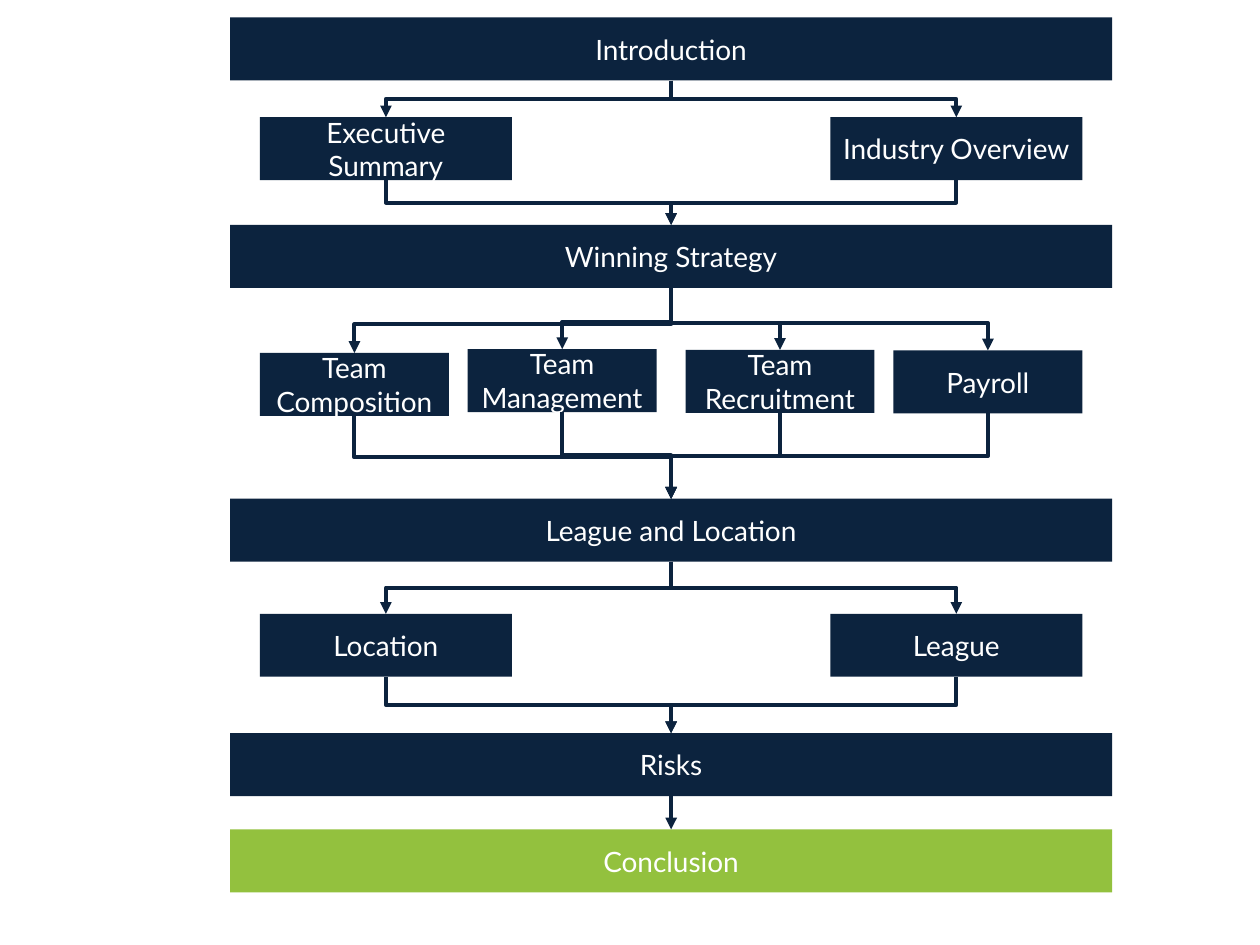
from dataclasses import dataclass

from lxml import etree
from pptx import Presentation
from pptx.dml.color import RGBColor
from pptx.enum.shapes import MSO_CONNECTOR, MSO_SHAPE
from pptx.enum.text import MSO_ANCHOR, PP_ALIGN
from pptx.oxml.ns import qn
from pptx.util import Pt

RECTANGLE = MSO_SHAPE.RECTANGLE
ELBOW, STRAIGHT = MSO_CONNECTOR.ELBOW, MSO_CONNECTOR.STRAIGHT
MIDDLE, CENTER = MSO_ANCHOR.MIDDLE, PP_ALIGN.CENTER
TOP_SIDE, BOTTOM_SIDE = 0, 2


@dataclass(frozen=True)
class Theme:
    navy = RGBColor(0x0C, 0x23, 0x3E)
    green = RGBColor(0x93, 0xC1, 0x3E)
    white = RGBColor(0xFF, 0xFF, 0xFF)
    font = "Lato"
    size = Pt(16)
    line = Pt(2.25)


THEME = Theme()
BOX_HEIGHT = 36
STAGE_LEFT, STAGE_WIDTH = 131.5, 504
PAIR_LEFTS, PAIR_WIDTH = (148.5, 474.5), 144
TEAM_WIDTH = 108

# Stage: label, top, bend of the lines to its topics, topics (label, left, top, width)
STAGES = [
    ("Introduction", 10, 0.5, [
        (label, left, 67, PAIR_WIDTH)
        for label, left in zip(("Executive Summary", "Industry Overview"), PAIR_LEFTS)]),
    ("Winning Strategy", 128.5, 0.56, [
        ("Team Composition", 148.5, 201.75, TEAM_WIDTH),
        ("Team Management", 267.25, 199.5, TEAM_WIDTH),
        ("Team Recruitment", 391.75, 200, TEAM_WIDTH),
        ("Payroll", 510.5, 200.25, TEAM_WIDTH)]),
    ("League and Location", 285, 0.5, [
        (label, left, 350.75, PAIR_WIDTH)
        for label, left in zip(("Location", "League"), PAIR_LEFTS)]),
    ("Risks", 419, 0.5, []),
    ("Conclusion", 474, 0.5, []),
]

prs = Presentation()
prs.slide_width, prs.slide_height = Pt(720), Pt(540)
slide = prs.slides.add_slide(prs.slide_layouts[6])


def add_box(label, left, top, width, color=THEME.navy):
    box = slide.shapes.add_shape(RECTANGLE, Pt(left), Pt(top), Pt(width), Pt(BOX_HEIGHT))
    box.shadow.inherit = False
    box.fill.solid()
    box.fill.fore_color.rgb = color
    box.line.fill.background()
    box.text_frame.vertical_anchor = MIDDLE
    paragraph = box.text_frame.paragraphs[0]
    paragraph.text = label
    paragraph.alignment = CENTER
    font = paragraph.font
    font.name, font.size, font.color.rgb = THEME.font, THEME.size, THEME.white
    return box


def link(upper, lower, bend=0.5):
    """Draw an arrow from the bottom of upper to the top of lower, turning at bend."""
    start_x, end_x = upper.left + upper.width // 2, lower.left + lower.width // 2
    start_y, end_y = upper.top + upper.height, lower.top
    straight = start_x == end_x
    arrow = slide.shapes.add_connector(
        STRAIGHT if straight else ELBOW, start_x, start_y, end_x, end_y)
    arrow.begin_connect(upper, BOTTOM_SIDE)
    arrow.end_connect(lower, TOP_SIDE)
    arrow.line.color.rgb = THEME.navy
    arrow.line.width = THEME.line
    properties = arrow._element.spPr
    etree.SubElement(arrow.line._get_or_add_ln(), qn("a:tailEnd"), type="triangle")
    etree.SubElement(properties, qn("a:effectLst"))
    if straight:
        return

    # An elbow leaves sideways, so it is turned a quarter to leave downwards
    drop, run = end_y - start_y, abs(end_x - start_x)
    arrow.left = (start_x + end_x - drop) // 2
    arrow.top = (start_y + end_y - run) // 2
    arrow.width, arrow.height = drop, run
    to_right = end_x > start_x
    frame = properties.find(qn("a:xfrm"))
    frame.set("rot", "16200000" if to_right else "5400000")
    frame.set("flipH", "1" if to_right else "0")
    adjustments = properties.find(qn("a:prstGeom")).find(qn("a:avLst"))
    etree.SubElement(adjustments, qn("a:gd"), name="adj1",
                     fmla=f"val {round(bend * 100000)}")


stage_boxes = [
    add_box(label, STAGE_LEFT, top, STAGE_WIDTH,
            THEME.green if label == "Conclusion" else THEME.navy)
    for label, top, _, _ in STAGES]

for (_, _, bend, topics), stage, next_stage in zip(STAGES, stage_boxes, stage_boxes[1:]):
    for topic in topics:
        topic_box = add_box(*topic)
        link(stage, topic_box, bend)
        link(topic_box, next_stage)
    if not topics:
        link(stage, next_stage)

prs.save("out.pptx")
